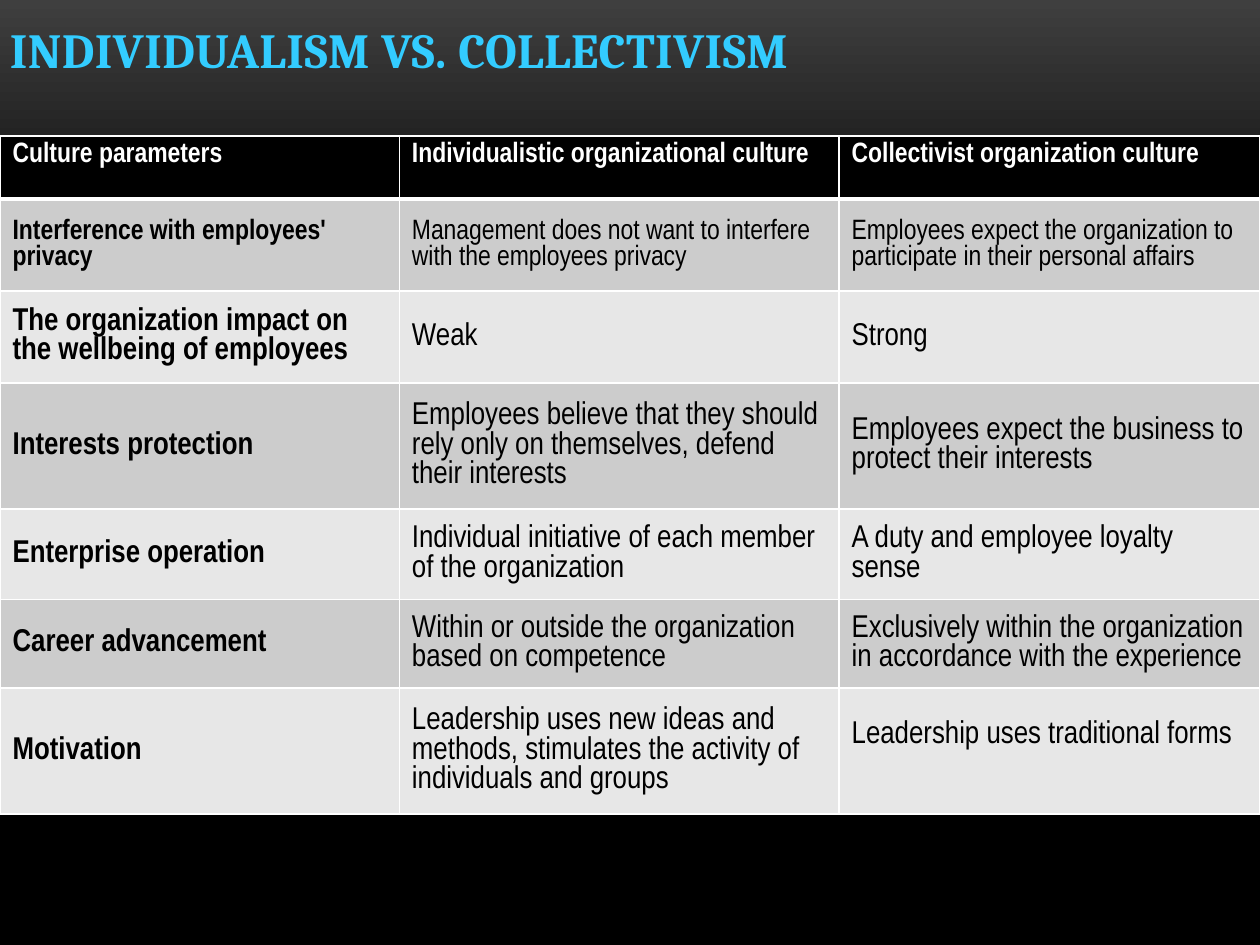
from lxml import etree
from pptx import Presentation
from pptx import util as u
from pptx.dml.color import RGBColor
from pptx.enum import text
from pptx.oxml import ns

COLORS = {"title": "33CCFF", "black": "000000", "white": "FFFFFF",
          "glow": "3F3F3F", "odd": "CCCCCC", "even": "E7E7E7"}
COLUMNS = [3.17, 3.49, 3.34]
HEIGHTS = [0.5, 0.73, 0.73, 0.97, 0.72, 0.56, 0.81]
ROWS = [
    ("Culture parameters", "Individualistic organizational culture",
     "Collectivist organization culture"),
    ("Interference with employees' privacy",
     "Management does not want to interfere with the employees privacy",
     "Employees expect the organization to participate in their personal affairs"),
    ("The organization impact on the wellbeing of employees", "Weak", "Strong"),
    ("Interests protection",
     "Employees believe that they should rely only on themselves, defend their interests",
     "Employees expect the business to protect their interests"),
    ("Enterprise operation",
     "Individual initiative of each member of the organization",
     "A duty and employee loyalty sense"),
    ("Career advancement",
     "Within or outside the organization based on competence",
     "Exclusively within the organization in accordance with the experience"),
    ("Motivation",
     "Leadership uses new ideas and methods, stimulates the activity of individuals and groups",
     "Leadership uses traditional forms"),
]


def color(name):
    """Return the named colour."""
    return RGBColor.from_string(COLORS[name])


def write(frame, words, size, ink, font="Arial Narrow", bold=False, spacing=0):
    """Write one formatted paragraph into a text frame."""
    frame.word_wrap = True
    span = frame.paragraphs[0].add_run()
    span.text = words
    span.font.name = font
    span.font.size = u.Pt(size)
    span.font.bold = bold
    span.font.color.rgb = color(ink)
    if spacing:
        span._r.get_or_add_rPr().set("spc", str(round(spacing * 100)))


def fill_background(page):
    """Fade the page from grey at the top to black."""
    fill = page.background.fill
    fill.gradient()
    fill.gradient_angle = 270
    for stop, position, name in zip(fill.gradient_stops, (0, 0.31), ("glow", "black")):
        stop.position = position
        stop.color.rgb = color(name)


def add_title(page, left, top, width, height):
    """Place the heading at the bottom of its box."""
    box = page.shapes.add_textbox(*map(u.Inches, (left, top, width, height)))
    box.text_frame.vertical_anchor = text.MSO_ANCHOR.BOTTOM
    write(box.text_frame, "INDIVIDUALISM VS. COLLECTIVISM", 28, "title",
          font="Cambria", bold=True, spacing=0.3)


def set_borders(cell, widths):
    """Draw white borders of the given point widths around a cell."""
    properties = cell._tc.get_or_add_tcPr()
    for index, (side, width) in enumerate(widths.items()):
        line = etree.Element(ns.qn(f"a:ln{side}"), w=str(u.Pt(width)))
        solid = etree.SubElement(line, ns.qn("a:solidFill"))
        etree.SubElement(solid, ns.qn("a:srgbClr"), val=COLORS["white"])
        properties.insert(index, line)


def add_comparison(page, left, top, width, height):
    """Place the table that compares both cultures."""
    box = page.shapes.add_table(len(ROWS), len(COLUMNS),
                                *map(u.Inches, (left, top, width, height)))
    table = box.table
    for column, size in zip(table.columns, COLUMNS):
        column.width = u.Inches(size)
    for row, size in zip(table.rows, HEIGHTS):
        row.height = u.Inches(size)
    for r, row in enumerate(ROWS):
        header = r == 0
        for c, words in enumerate(row):
            cell = table.cell(r, c)
            cell.fill.solid()
            cell.fill.fore_color.rgb = color("black" if header else "odd" if r % 2 else "even")
            cell.vertical_anchor = text.MSO_ANCHOR.TOP if header else text.MSO_ANCHOR.MIDDLE
            write(cell.text_frame, words, 16 if r < 2 else 18,
                  "white" if header else "black", bold=header or c == 0)
            set_borders(cell, {"L": 1, "R": 1, "T": 3 if r == 1 else 1, "B": 3 if header else 1})
    table.cell(len(ROWS) - 1, 2).margin_bottom = u.Inches(0.29)


def main():
    """Build and save the deck."""
    deck = Presentation()
    deck.slide_width, deck.slide_height = u.Inches(10), u.Inches(7.5)
    page = deck.slides.add_slide(deck.slide_layouts[6])
    fill_background(page)
    add_title(page, -0.02, -0.58, 8.67, 1.25)
    add_comparison(page, 0, 1.08, sum(COLUMNS), sum(HEIGHTS))
    deck.save("out.pptx")


if __name__ == "__main__":
    main()
